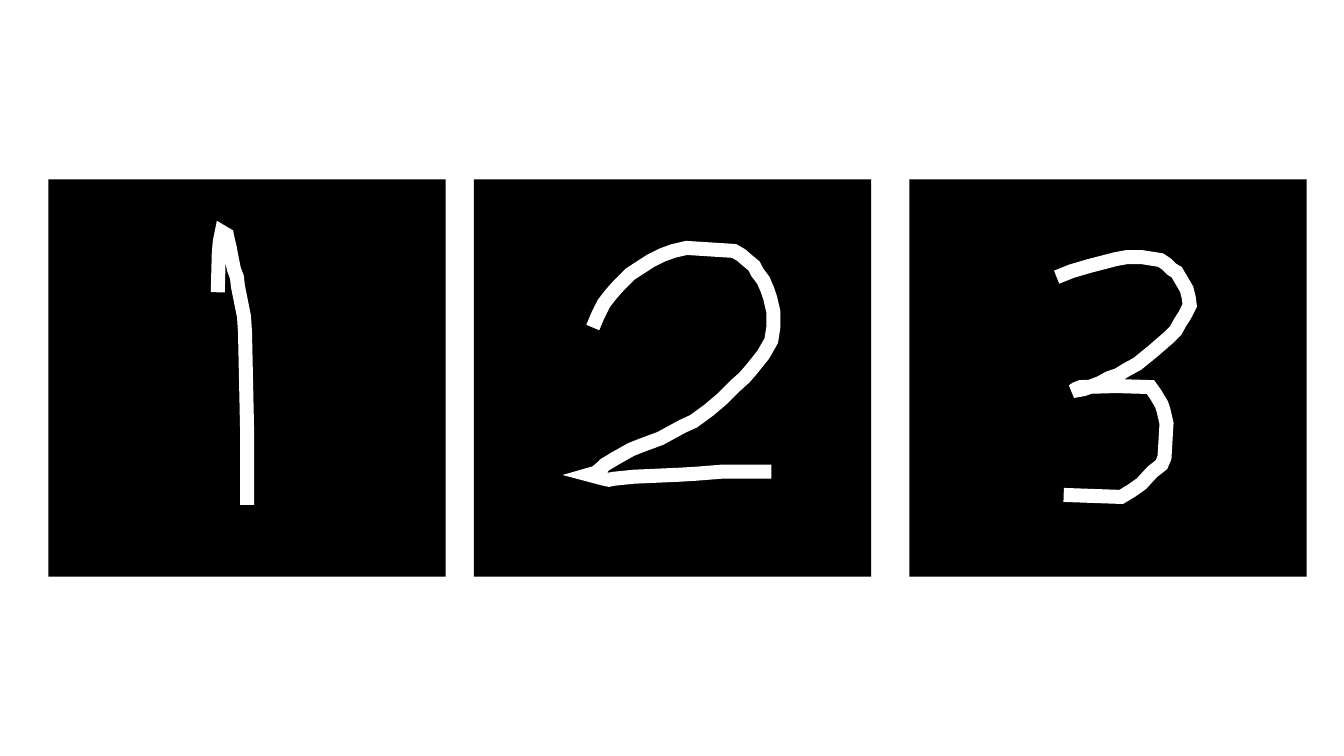
"""Three black squares, each with a white hand-drawn digit: 1, 2 and 3."""
from pptx import Presentation
from pptx.dml.color import RGBColor
from pptx.enum.shapes import MSO_SHAPE
from pptx.oxml.ns import qn
from pptx.util import Inches, Pt
from lxml.etree import SubElement

HUE = {"panel": "000000", "stroke": "FFFFFF"}
UNIT = Inches(0.01)
SIDE, TOP = 394, 178
LEFTS = (48, 470, 902)
PEN = {"width": Pt(10)}

one = [
    (216, 290), (217, 252), (218, 240), (220, 230), (225, 233), (226, 238),
    (228, 246), (229, 252), (232, 267), (235, 275), (236, 284), (239, 299),
    (242, 314), (243, 329), (245, 424), (245, 501),
]
two = [
    (588, 325), (593, 313), (599, 301), (606, 292), (614, 283), (625, 272),
    (645, 259), (657, 253), (668, 249), (681, 246), (728, 249), (735, 253),
    (742, 259), (748, 264), (751, 270), (757, 278), (761, 287), (764, 296),
    (767, 309), (767, 325), (765, 338), (757, 352), (745, 367), (738, 375),
    (729, 383), (716, 396), (703, 407), (688, 418), (677, 423), (655, 435),
    (636, 442), (626, 446), (610, 455), (600, 461), (597, 464), (591, 469),
    (584, 471), (599, 475), (604, 476), (609, 475), (629, 473), (674, 471),
    (691, 470), (716, 468), (765, 468),
]
three = [
    (1048, 275), (1063, 269), (1080, 264), (1107, 257), (1118, 255),
    (1132, 255), (1151, 258), (1157, 262), (1162, 267), (1167, 270),
    (1170, 275), (1177, 287), (1179, 295), (1180, 303), (1175, 313),
    (1171, 319), (1166, 328), (1159, 335), (1144, 348), (1128, 361),
    (1117, 367), (1109, 372), (1100, 375), (1091, 380), (1083, 383),
    (1075, 386), (1064, 388), (1067, 386), (1072, 384), (1107, 383),
    (1141, 384), (1146, 391), (1152, 401), (1154, 407), (1157, 420),
    (1155, 454), (1152, 461), (1143, 468), (1132, 480), (1122, 487),
    (1112, 493), (1055, 491),
]

deck = Presentation()
deck.slide_width, deck.slide_height = 1333 * UNIT, 750 * UNIT
shapes = deck.slides.add_slide(deck.slide_layouts[6]).shapes

for left in LEFTS:
    panel = shapes.add_shape(
        MSO_SHAPE.RECTANGLE, left * UNIT, TOP * UNIT, SIDE * UNIT, SIDE * UNIT
    )
    panel.shadow.inherit = False
    panel.fill.solid()
    panel.fill.fore_color.rgb = RGBColor.from_string(HUE["panel"])
    panel.line.fill.background()

for points in (one, two, three):
    pen = shapes.build_freeform(*points[0], scale=UNIT)
    pen.add_line_segments(points[1:], close=False)
    digit = pen.convert_to_shape()
    digit.shadow.inherit = False
    digit.fill.background()
    digit.line.color.rgb = RGBColor.from_string(HUE["stroke"])
    for name, value in PEN.items():
        setattr(digit.line, name, value)
    SubElement(digit.line._get_or_add_ln(), qn("a:miter"), lim="800000")

deck.save("out.pptx")
